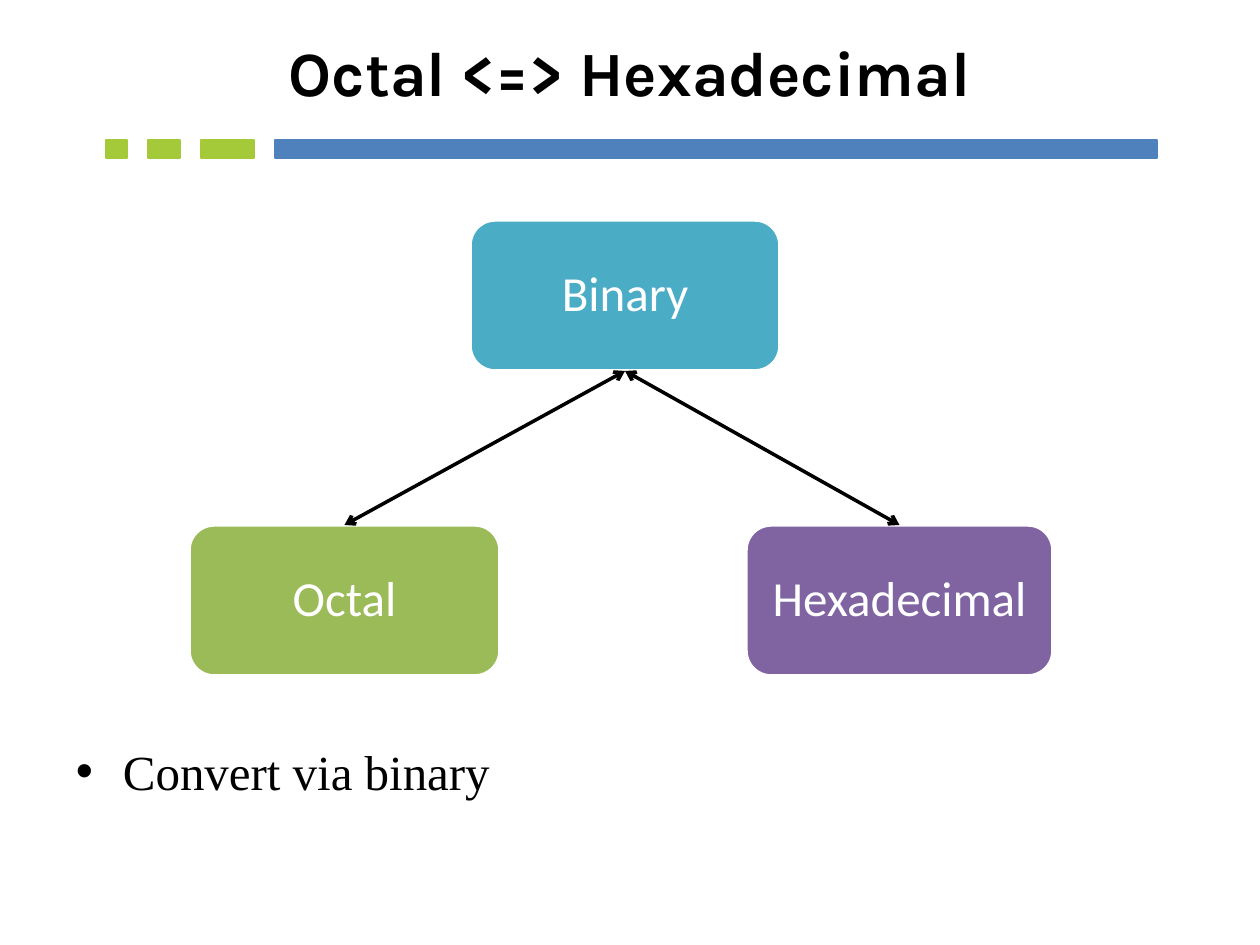
from dataclasses import dataclass

from lxml import etree
from pptx import Presentation
from pptx import util as u
from pptx.dml.color import RGBColor
from pptx.enum import shapes, text
from pptx.oxml.ns import qn

PX = 914400 / 126


@dataclass(frozen=True)
class Theme:
    black: str = "000000"
    white: str = "FFFFFF"
    blue: str = "4F81BD"
    lime: str = "A4CA39"
    teal: str = "4BACC6"
    green: str = "9BBB59"
    purple: str = "8064A2"
    title_size: int = 36
    body_size: int = 28
    title_font: str = "Karla"
    box_font: str = "Calibri"
    body_font: str = "Times New Roman"


THEME = Theme()


def px(length):
    return u.Emu(round(length * PX))


def rgb(color):
    return RGBColor.from_string(color)


def write(shape, words, *, font, size, color=THEME.black, bold=False,
          align=text.PP_ALIGN.LEFT, anchor=text.MSO_ANCHOR.MIDDLE,
          margins=(13, 6), spacing=None, bullet=None, indent=0):
    frame = shape.text_frame
    frame.word_wrap = True
    frame.vertical_anchor = anchor
    frame.margin_left = frame.margin_right = px(margins[0])
    frame.margin_top = frame.margin_bottom = px(margins[1])
    paragraph = frame.paragraphs[0]
    paragraph.text = words
    paragraph.alignment = align
    if spacing:
        paragraph.line_spacing = spacing
    if bullet:
        properties = paragraph._p.get_or_add_pPr()
        properties.set("marL", str(px(indent)))
        properties.set("indent", str(-px(indent)))
        etree.SubElement(properties, qn("a:buFont"), typeface="Arial")
        etree.SubElement(properties, qn("a:buChar"), char=bullet)
    style = paragraph.runs[0].font
    style.name = font
    style.size = u.Pt(size)
    style.bold = bold
    style.color.rgb = rgb(color)


def add_text(slide, words, left, top, width, height, **style):
    box = slide.shapes.add_textbox(px(left), px(top), px(width), px(height))
    write(box, words, **style)


def add_block(slide, kind, left, top, width, height, fill, outline, weight):
    block = slide.shapes.add_shape(kind, px(left), px(top), px(width), px(height))
    block.shadow.inherit = False
    block.fill.solid()
    block.fill.fore_color.rgb = rgb(fill)
    block.line.color.rgb = rgb(outline)
    block.line.width = u.Pt(weight)
    return block


def add_rule(slide, left, top, height, gap, bars):
    for width, color in bars:
        add_block(slide, shapes.MSO_SHAPE.RECTANGLE, left, top, width, height,
                  color, color, 0.75)
        left += width + gap


def add_system(slide, name, left, top, width, color):
    system = add_block(slide, shapes.MSO_SHAPE.ROUNDED_RECTANGLE, left, top,
                       width, 151, color, THEME.white, 2)
    write(system, name, font=THEME.box_font, size=THEME.body_size,
          color=THEME.white, align=text.PP_ALIGN.CENTER, margins=(12, 12),
          spacing=0.9)
    return system


def add_conversion(slide, upper, lower):
    arrow = slide.shapes.add_connector(shapes.MSO_CONNECTOR.STRAIGHT, 0, 0, 0, 0)
    arrow.begin_connect(upper, 2)
    arrow.end_connect(lower, 0)
    arrow.line.color.rgb = rgb(THEME.black)
    arrow.line.width = u.Pt(2)
    line = arrow.line._get_or_add_ln()
    for end in ("a:headEnd", "a:tailEnd"):
        etree.SubElement(line, qn(end), type="arrow")
    etree.SubElement(arrow._element.spPr, qn("a:effectLst"))


def main():
    deck = Presentation()
    deck.slide_width, deck.slide_height = px(1260), px(945)
    slide = deck.slides.add_slide(deck.slide_layouts[6])

    add_rule(slide, 106, 140, 18, 21,
             [(21, THEME.lime), (32, THEME.lime), (53, THEME.lime), (882, THEME.blue)])
    add_text(slide, "Octal <=> Hexadecimal", 63, 6, 1134, 131,
             font=THEME.title_font, size=THEME.title_size, bold=True,
             align=text.PP_ALIGN.CENTER)

    hexadecimal = add_system(slide, "Hexadecimal", 746, 525, 307, THEME.purple)
    octal = add_system(slide, "Octal", 189, 525, 311, THEME.green)
    binary = add_system(slide, "Binary", 470, 220, 310, THEME.teal)
    for system in (hexadecimal, octal):
        add_conversion(slide, binary, system)

    add_text(slide, "Convert via binary", 63, 735, 1134, 105,
             font=THEME.body_font, size=THEME.body_size,
             anchor=text.MSO_ANCHOR.TOP, bullet="•", indent=47)
    deck.save("out.pptx")


if __name__ == "__main__":
    main()
